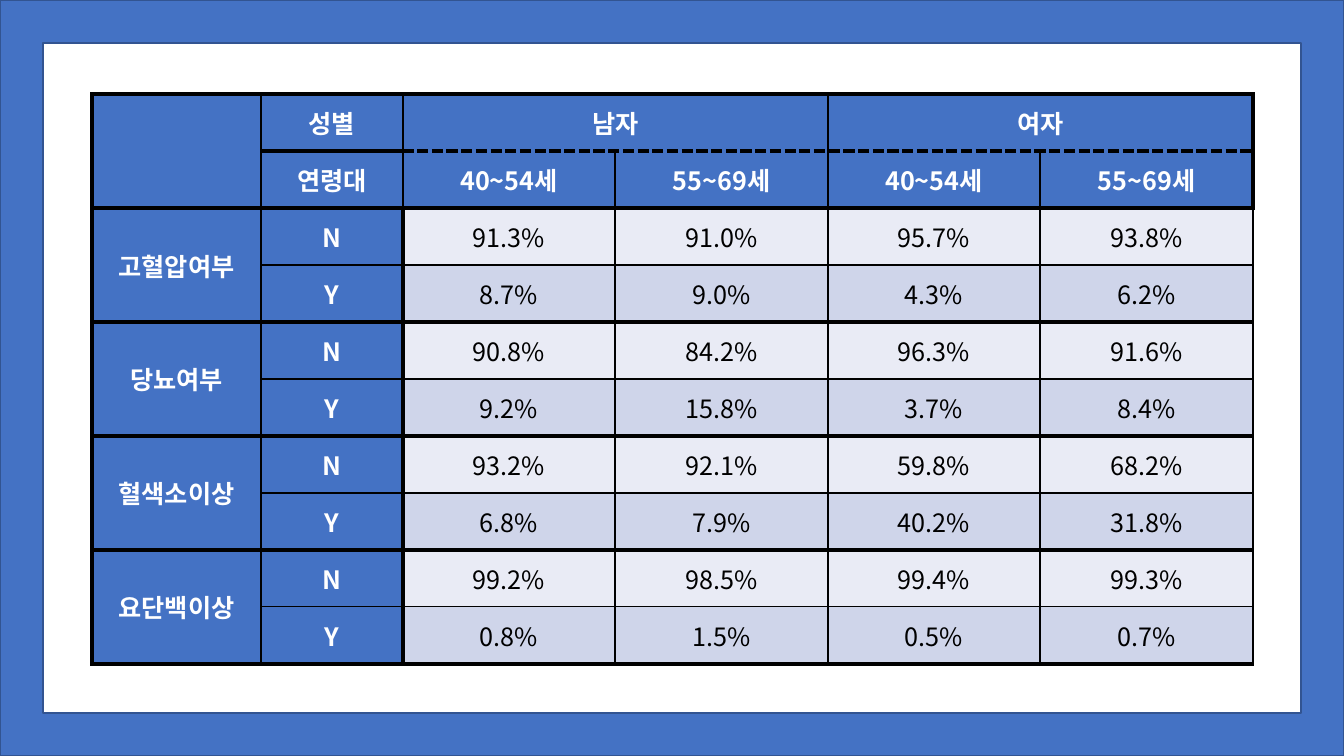
from typing import NamedTuple

from lxml import etree
from pptx import Presentation
from pptx import util as u
from pptx.dml.color import RGBColor
from pptx.enum import shapes, text
from pptx.oxml import ns

EMU_PER_PX = 914400 / 100.8
PAGE_WIDTH, PAGE_HEIGHT = 1344, 756
FRAME_THICKNESS = 43
TABLE_LEFT, TABLE_TOP = 92, 94
COLUMN_WIDTHS = (169, 142, 212, 213, 212, 213)
ROW_HEIGHT = 57
HEADER_ROWS = LABEL_COLUMNS = 2

FONT = "Noto Sans CJK KR"
BLUE = RGBColor(0x44, 0x72, 0xC4)
DARK_BLUE = RGBColor(0x32, 0x54, 0x91)
PALE = RGBColor(0xE9, 0xEB, 0xF5)
LAVENDER = RGBColor(0xCF, 0xD5, 0xEA)
WHITE = RGBColor(0xFF, 0xFF, 0xFF)
BLACK = RGBColor(0, 0, 0)

THICK, MEDIUM, THIN = 3, 2.25, 1


class Measure(NamedTuple):
    name: str
    no: tuple[str, ...]
    yes: tuple[str, ...]


class Border(NamedTuple):
    width: float
    dash: str = "solid"


MEASURES = (
    Measure("고혈압여부", ("91.3%", "91.0%", "95.7%", "93.8%"), ("8.7%", "9.0%", "4.3%", "6.2%")),
    Measure("당뇨여부", ("90.8%", "84.2%", "96.3%", "91.6%"), ("9.2%", "15.8%", "3.7%", "8.4%")),
    Measure("혈색소이상", ("93.2%", "92.1%", "59.8%", "68.2%"), ("6.8%", "7.9%", "40.2%", "31.8%")),
    Measure("요단백이상", ("99.2%", "98.5%", "99.4%", "99.3%"), ("0.8%", "1.5%", "0.5%", "0.7%")),
)


def px(length: int) -> u.Emu:
    return u.Emu(round(length * EMU_PER_PX))


def table_rows() -> list[tuple[str, ...]]:
    rows = [
        ("", "성별", "남자", "", "여자", ""),
        ("", "연령대") + ("40~54세", "55~69세") * 2,
    ]
    for measure in MEASURES:
        rows += [(measure.name, "N", *measure.no), ("", "Y", *measure.yes)]
    return rows


def horizontal_border(edge: int, column: int) -> Border:
    """Line along the row edge counted from the table's top."""
    if edge == 1:
        return Border(THICK, "dash" if column >= LABEL_COLUMNS else "solid")
    return Border(THIN if edge % 2 else THICK)


def vertical_border(edge: int, row: int) -> Border:
    """Line along the column edge counted from the table's left."""
    header_widths = (THICK, THIN, THIN, MEDIUM, MEDIUM, MEDIUM, THICK)
    body_widths = (THICK, THIN, THICK, THIN, THIN, THIN, THIN)
    return Border((header_widths if row < HEADER_ROWS else body_widths)[edge])


def draw_borders(cell, row: int, column: int) -> None:
    bottom = row + (cell.span_height if cell.is_merge_origin else 1)
    right = column + (cell.span_width if cell.is_merge_origin else 1)
    borders = {
        "a:lnL": vertical_border(column, row),
        "a:lnR": vertical_border(right, row),
        "a:lnT": horizontal_border(row, column),
        "a:lnB": horizontal_border(bottom, column),
    }
    properties = cell._tc.get_or_add_tcPr()
    for tag, border in borders.items():
        line = etree.SubElement(properties, ns.qn(tag), w=str(int(u.Pt(border.width))))
        fill = etree.SubElement(line, ns.qn("a:solidFill"))
        etree.SubElement(fill, ns.qn("a:srgbClr"), val=str(BLACK))
        etree.SubElement(line, ns.qn("a:prstDash"), val=border.dash)


def write_cell(cell, content: str, is_label: bool) -> None:
    cell.vertical_anchor = text.MSO_ANCHOR.MIDDLE
    para = cell.text_frame.paragraphs[0]
    para.alignment = text.PP_ALIGN.CENTER
    if not content:
        return
    span = para.add_run()
    span.text = content
    for name, value in {"size": u.Pt(18), "bold": is_label, "name": FONT}.items():
        setattr(span.font, name, value)
    span.font.color.rgb = WHITE if is_label else BLACK
    etree.SubElement(span._r.get_or_add_rPr(), ns.qn("a:ea"), typeface=FONT)


def draw_frame(page) -> None:
    frame = page.shapes.add_shape(
        shapes.MSO_SHAPE.FRAME, 0, 0, px(PAGE_WIDTH), px(PAGE_HEIGHT)
    )
    frame.adjustments[0] = FRAME_THICKNESS / PAGE_HEIGHT
    frame.shadow.inherit = False
    frame.fill.solid()
    frame.fill.fore_color.rgb = BLUE
    frame.line.color.rgb = DARK_BLUE
    frame.line.width = u.Pt(1)


def draw_table(page) -> None:
    rows = table_rows()
    table = page.shapes.add_table(
        len(rows), len(COLUMN_WIDTHS), px(TABLE_LEFT), px(TABLE_TOP),
        px(sum(COLUMN_WIDTHS)), px(ROW_HEIGHT * len(rows)),
    ).table
    table.first_row = table.horz_banding = False
    for column, width in zip(table.columns, COLUMN_WIDTHS):
        column.width = px(width)
    for row in table.rows:
        row.height = px(ROW_HEIGHT)

    for top in range(0, len(rows), 2):
        table.cell(top, 0).merge(table.cell(top + 1, 0))
    for left in range(LABEL_COLUMNS, len(COLUMN_WIDTHS), 2):
        table.cell(0, left).merge(table.cell(0, left + 1))

    for row, contents in enumerate(rows):
        for column, content in enumerate(contents):
            cell = table.cell(row, column)
            if cell.is_spanned:
                continue
            is_label = row < HEADER_ROWS or column < LABEL_COLUMNS
            write_cell(cell, content, is_label)
            draw_borders(cell, row, column)
            cell.fill.solid()
            body_color = LAVENDER if row % 2 else PALE
            cell.fill.fore_color.rgb = BLUE if is_label else body_color


def main() -> None:
    deck = Presentation()
    deck.slide_width, deck.slide_height = px(PAGE_WIDTH), px(PAGE_HEIGHT)
    page = deck.slides.add_slide(deck.slide_layouts[6])
    draw_frame(page)
    draw_table(page)
    deck.save("out.pptx")


if __name__ == "__main__":
    main()
